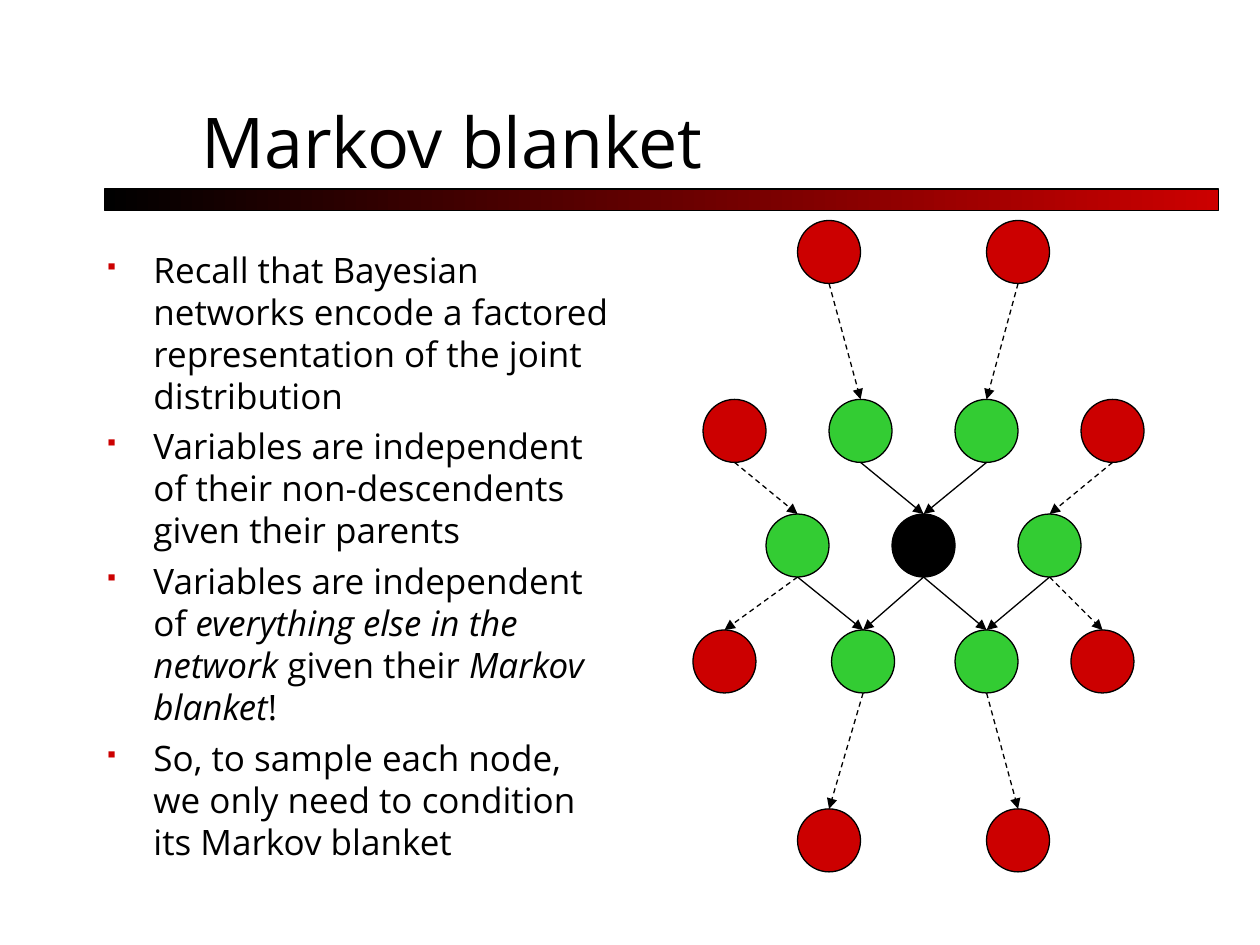
from lxml import etree
from pptx import Presentation
from pptx.dml.color import RGBColor
from pptx.enum.dml import MSO_LINE
from pptx.enum.shapes import MSO_CONNECTOR, MSO_SHAPE
from pptx.enum.text import MSO_ANCHOR
from pptx.oxml.ns import qn
from pptx.util import Inches, Pt

BLACK = RGBColor(0x00, 0x00, 0x00)
RED = RGBColor(0xCC, 0x00, 0x00)
GREEN = RGBColor(0x33, 0xCC, 0x33)
DASH = MSO_LINE.DASH
STRAIGHT = MSO_CONNECTOR.STRAIGHT
OVAL = MSO_SHAPE.OVAL
RECTANGLE = MSO_SHAPE.RECTANGLE
BOTTOM = MSO_ANCHOR.BOTTOM
TOP_SITE = 0

FONT = "Open Sans"
BULLET_FONT = "Wingdings"
SQUARE = "§"  # a small filled square in the bullet font
LINE_WIDTH = Pt(0.75)
NODE_SIZE = 0.5

# Each bullet is a list of (text, italic) runs.
BULLETS = [
    [("Recall that Bayesian networks encode a factored representation "
      "of the joint distribution", False)],
    [("Variables are independent of their non-descendents given their parents", False)],
    [("Variables are independent of ", False), ("everything else in the network ", True),
     ("given their ", False), ("Markov blanket", True), ("!", False)],
    [("So, to sample each node, we only need to condition its Markov blanket", False)],
]

# Top edge of each row of nodes, and the nodes as name: (left, row, colour),
# measured from the corner of the network's box.
ROWS = [0, 1.42, 2.33, 3.25, 4.67]
NODES = {
    "target": (1.58, 2, BLACK),
    "left parent": (1.08, 1, GREEN),
    "right parent": (2.08, 1, GREEN),
    "left spouse": (0.58, 2, GREEN),
    "right spouse": (2.58, 2, GREEN),
    "left child": (1.1, 3, GREEN),
    "right child": (2.08, 3, GREEN),
    "left grandparent": (0.83, 0, RED),
    "right grandparent": (2.33, 0, RED),
    "left spouse parent": (0.08, 1, RED),
    "right spouse parent": (3.08, 1, RED),
    "left spouse child": (0, 3, RED),
    "right spouse child": (3, 3, RED),
    "left grandchild": (0.83, 4, RED),
    "right grandchild": (2.33, 4, RED),
}
BLANKET_EDGES = [
    ("left parent", "target"), ("right parent", "target"),
    ("target", "left child"), ("target", "right child"),
    ("left spouse", "left child"), ("right spouse", "right child"),
]
OUTER_EDGES = [
    (start.format(side), end.format(side))
    for side in ("left", "right")
    for start, end in [
        ("{} grandparent", "{} parent"), ("{} child", "{} grandchild"),
        ("{} spouse parent", "{} spouse"), ("{} spouse", "{} spouse child"),
    ]
]


def add_text_frame(slide, left, top, width, height):
    box = slide.shapes.add_textbox(Inches(left), Inches(top), Inches(width), Inches(height))
    box.text_frame.word_wrap = True
    return box.text_frame


def set_font(paragraph, size):
    paragraph.font.name = FONT
    paragraph.font.size = Pt(size)
    paragraph.font.color.rgb = BLACK


def add_title(slide, left, top, width, height):
    frame = add_text_frame(slide, left, top, width, height)
    frame.vertical_anchor = BOTTOM
    paragraph = frame.paragraphs[0]
    paragraph.text = "Markov blanket"
    set_font(paragraph, 40)


def add_gradient_bar(slide, left, top, width, height):
    bar = slide.shapes.add_shape(
        RECTANGLE, Inches(left), Inches(top), Inches(width), Inches(height))
    bar.shadow.inherit = False
    bar.fill.gradient()
    bar.fill.gradient_angle = 0
    for stop, colour, position in zip(bar.fill.gradient_stops, (BLACK, RED), (0, 1)):
        stop.color.rgb = colour
        stop.position = position
    bar.line.color.rgb = BLACK
    bar.line.width = LINE_WIDTH


def add_square_bullet(paragraph):
    properties = paragraph._p.get_or_add_pPr()
    properties.set("marL", str(Inches(0.37)))
    properties.set("indent", str(-Inches(0.37)))
    colour = etree.SubElement(properties, qn("a:buClr"))
    etree.SubElement(colour, qn("a:srgbClr"), val=str(RED))
    etree.SubElement(properties, qn("a:buSzPct"), val="60000")
    etree.SubElement(properties, qn("a:buFont"), typeface=BULLET_FONT, charset="2")
    etree.SubElement(properties, qn("a:buChar"), char=SQUARE)


def add_bullets(slide, left, top, width, height):
    frame = add_text_frame(slide, left, top, width, height)
    for index, runs in enumerate(BULLETS):
        paragraph = frame.add_paragraph() if index else frame.paragraphs[0]
        add_square_bullet(paragraph)
        paragraph.space_before = Pt(5 if index else 0)
        set_font(paragraph, 20)
        for text, italic in runs:
            run = paragraph.add_run()
            run.text = text
            if italic:
                run.font.italic = True


def add_node(slide, left, top, colour):
    node = slide.shapes.add_shape(
        OVAL, Inches(left), Inches(top), Inches(NODE_SIZE), Inches(NODE_SIZE))
    node.shadow.inherit = False
    node.fill.solid()
    node.fill.fore_color.rgb = colour
    node.line.color.rgb = BLACK
    node.line.width = LINE_WIDTH
    return node


def add_edge(slide, start, end, dashed):
    """Draw an arrow from the bottom of one node to the top of another."""
    edge = slide.shapes.add_connector(
        STRAIGHT, start.left + start.width // 2, start.top + start.height,
        end.left + end.width // 2, end.top)
    edge.end_connect(end, TOP_SITE)
    edge.line.color.rgb = BLACK
    edge.line.width = LINE_WIDTH
    if dashed:
        edge.line.dash_style = DASH
    etree.SubElement(edge.line._get_or_add_ln(), qn("a:tailEnd"), type="triangle")
    etree.SubElement(edge._element.spPr, qn("a:effectLst"))


def add_network(slide, left, top):
    nodes = {
        name: add_node(slide, left + x, top + ROWS[row], colour)
        for name, (x, row, colour) in NODES.items()
    }
    for edges, dashed in ((BLANKET_EDGES, False), (OUTER_EDGES, True)):
        for start, end in edges:
            add_edge(slide, nodes[start], nodes[end], dashed)


def main():
    presentation = Presentation()
    presentation.slide_width = Inches(10)
    presentation.slide_height = Inches(7.5)
    slide = presentation.slides.add_slide(presentation.slide_layouts[6])
    add_gradient_bar(slide, 0.83, 1.5, 8.84, 0.17)
    add_title(slide, 1.5, 0.42, 8.5, 1.08)
    add_bullets(slide, 0.75, 1.92, 4.2, 5.33)
    add_network(slide, 5.5, 1.75)
    presentation.save("out.pptx")


if __name__ == "__main__":
    main()
